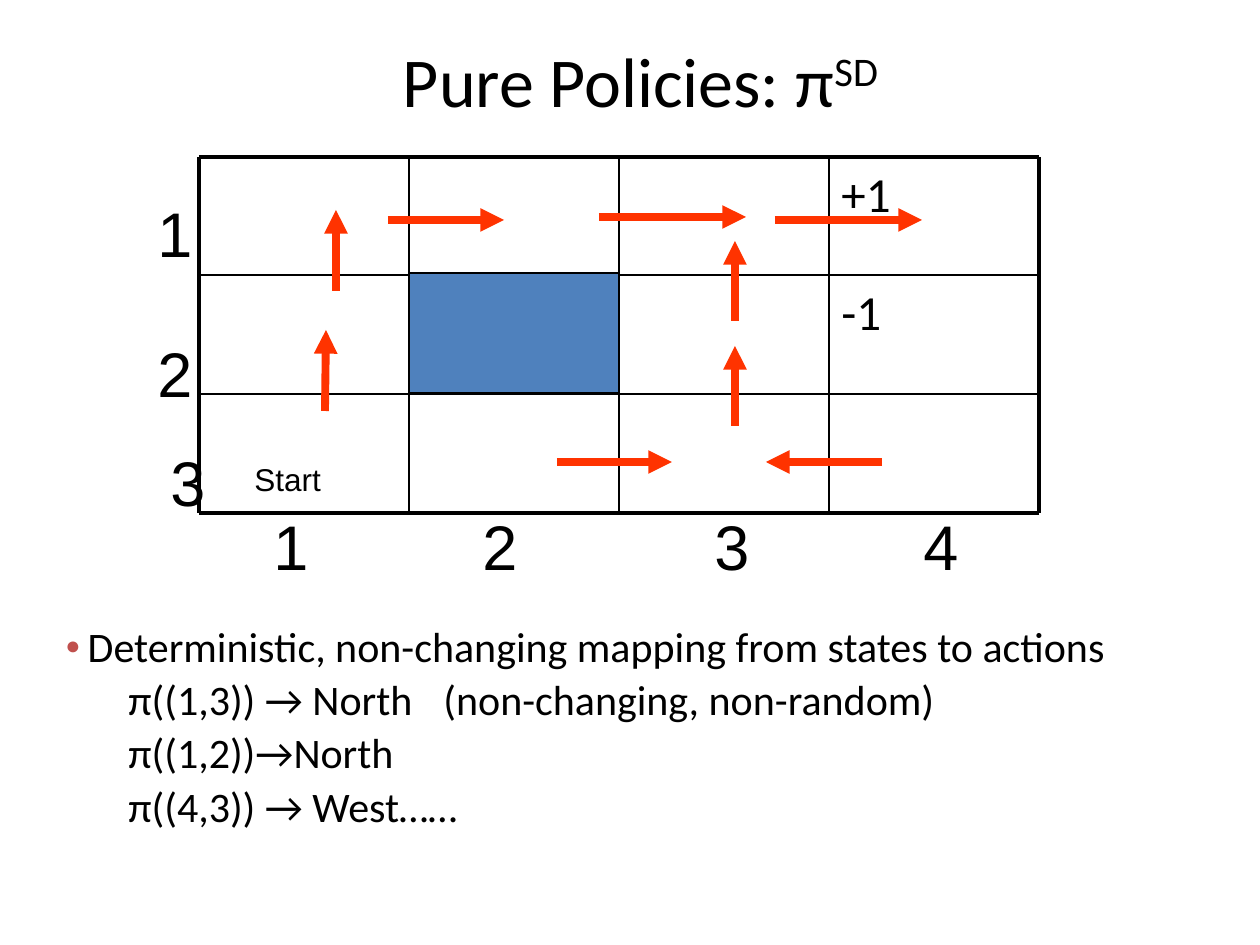
from dataclasses import dataclass

from lxml.etree import SubElement
from pptx import Presentation
from pptx.dml.color import RGBColor
from pptx.enum.shapes import MSO_CONNECTOR as Connector, MSO_SHAPE as Preset
from pptx.enum.text import MSO_ANCHOR as Anchor, PP_ALIGN as Align
from pptx.oxml.ns import qn
from pptx.slide import Slide
from pptx.text.text import TextFrame, _Paragraph as Paragraph
from pptx.util import Emu, Pt

PX_PER_INCH = 126
BLACK = RGBColor(0x00, 0x00, 0x00)
ARROW_RED = RGBColor(0xFF, 0x33, 0x00)
WALL_BLUE = RGBColor(0x4F, 0x81, 0xBD)
BULLET_RED = "C0504D"

GRID_LEFT, GRID_TOP = 199, 157
CELL_WIDTH, GRID_HEIGHT = 210, 356
COLUMNS, ROWS = 4, 3
COLUMN_EDGES = [GRID_LEFT + CELL_WIDTH * i for i in range(COLUMNS + 1)]
ROW_EDGES = [GRID_TOP + GRID_HEIGHT * i // ROWS for i in range(ROWS + 1)]


@dataclass
class Label:
    text: str
    left: int
    top: int
    width: int = 60
    height: int = 88
    size: int = 36
    font: str = "Arial"


@dataclass
class Line:
    x1: int
    y1: int
    x2: int
    y2: int


REWARDS = [
    Label(text, COLUMN_EDGES[3], ROW_EDGES[row], CELL_WIDTH, 118, 28, "Calibri")
    for row, text in enumerate(["+1", "-1"])
]
AXIS_LABELS = [
    Label("Start", 242, 454, 113, 63, 18),
    *(Label(str(n), left, 501) for n, left in enumerate([261, 470, 702, 911], 1)),
    Label("1", 145, 188),
    Label("2", 145, 328),
    Label("3", 158, 437),
]
ARROWS = [
    Line(325, 411, 326, 330),
    Line(336, 291, 336, 210),
    Line(388, 220, 504, 220),
    Line(599, 217, 746, 217),
    Line(775, 220, 922, 220),
    Line(557, 462, 672, 462),
    Line(735, 426, 735, 346),
    Line(735, 321, 735, 241),
    Line(882, 462, 766, 462),
]
POLICY_LINES = [
    "π((1,3)) → North\t(non-changing, non-random)",
    "π((1,2))→North",
    "π((4,3)) → West……",
]


def px(value: int) -> Emu:
    return Emu(round(value * 914400 / PX_PER_INCH))


def set_font(paragraph: Paragraph, name: str, size: int) -> None:
    paragraph.font.name = name
    paragraph.font.size = Pt(size)
    paragraph.font.color.rgb = BLACK


def add_text_frame(slide: Slide, left: int, top: int, width: int, height: int) -> TextFrame:
    frame = slide.shapes.add_textbox(px(left), px(top), px(width), px(height)).text_frame
    frame.word_wrap = True
    return frame


def add_label(slide: Slide, label: Label) -> None:
    frame = add_text_frame(slide, label.left, label.top, label.width, label.height)
    paragraph = frame.paragraphs[0]
    paragraph.text = label.text
    set_font(paragraph, label.font, label.size)


def add_line(slide: Slide, line: Line, color: RGBColor, width: float, arrow: bool = False) -> None:
    connector = slide.shapes.add_connector(
        Connector.STRAIGHT, px(line.x1), px(line.y1), px(line.x2), px(line.y2)
    )
    connector.line.color.rgb = color
    connector.line.width = Pt(width)
    if arrow:
        SubElement(connector.line._get_or_add_ln(), qn("a:tailEnd"), type="triangle")
    SubElement(connector._element.spPr, qn("a:effectLst"))


def add_title(slide: Slide) -> None:
    frame = add_text_frame(slide, 105, 0, 1071, 158)
    frame.vertical_anchor = Anchor.MIDDLE
    paragraph = frame.paragraphs[0]
    paragraph.alignment = Align.CENTER
    paragraph.add_run().text = "Pure Policies: π"
    superscript = paragraph.add_run()
    superscript.text = "SD"
    superscript.font._element.set("baseline", "30000")
    set_font(paragraph, "Calibri", 40)


def add_grid(slide: Slide) -> None:
    right, bottom = COLUMN_EDGES[-1], ROW_EDGES[-1]
    for y in ROW_EDGES:
        width = 2.25 if y in (GRID_TOP, bottom) else 1
        add_line(slide, Line(GRID_LEFT, y, right, y), BLACK, width)
    for x in COLUMN_EDGES:
        width = 2.25 if x in (GRID_LEFT, right) else 1
        add_line(slide, Line(x, GRID_TOP, x, bottom), BLACK, width)


def add_wall(slide: Slide) -> None:
    wall = slide.shapes.add_shape(
        Preset.RECTANGLE, px(COLUMN_EDGES[1]), px(273), px(CELL_WIDTH), px(120)
    )
    wall.shadow.inherit = False
    wall.fill.solid()
    wall.fill.fore_color.rgb = WALL_BLUE
    wall.line.color.rgb = BLACK
    wall.line.width = Pt(0.75)


def add_bullet(paragraph: Paragraph) -> None:
    properties = paragraph._p.get_or_add_pPr()
    color = SubElement(properties, qn("a:buClr"))
    SubElement(color, qn("a:srgbClr"), val=BULLET_RED)
    SubElement(properties, qn("a:buSzPct"), val="80000")
    SubElement(properties, qn("a:buFont"), typeface="Arial")
    SubElement(properties, qn("a:buChar"), char="●")


def indent_first_line(paragraph: Paragraph) -> None:
    """Indent a policy line and set the stop where its remark starts."""
    properties = paragraph._p.get_or_add_pPr()
    properties.set("marL", "0")
    properties.set("indent", str(px(63)))
    tabs = SubElement(properties, qn("a:tabLst"))
    SubElement(tabs, qn("a:tab"), pos=str(px(386)), algn="l")


def add_explanation(slide: Slide) -> None:
    frame = add_text_frame(slide, 53, 620, 1090, 227)
    heading = frame.paragraphs[0]
    heading.line_spacing = 0.9
    add_bullet(heading)
    gap = heading.add_run()
    gap.text = " "
    gap.font.size = Pt(18)
    heading.add_run().text = "Deterministic, non-changing mapping from states to actions"
    set_font(heading, "Calibri", 24)
    for text in POLICY_LINES:
        paragraph = frame.add_paragraph()
        paragraph.text = text
        paragraph.line_spacing = 0.9
        paragraph.space_before = Pt(4.5)
        indent_first_line(paragraph)
        set_font(paragraph, "Calibri", 24)


def main() -> None:
    presentation = Presentation()
    presentation.slide_width = px(1260)
    presentation.slide_height = px(945)
    slide = presentation.slides.add_slide(presentation.slide_layouts[6])
    add_title(slide)
    add_explanation(slide)
    for label in REWARDS:
        add_label(slide, label)
    add_grid(slide)
    for label in AXIS_LABELS:
        add_label(slide, label)
    add_wall(slide)
    for arrow in ARROWS:
        add_line(slide, arrow, ARROW_RED, 4.5, arrow=True)
    presentation.save("out.pptx")


if __name__ == "__main__":
    main()
